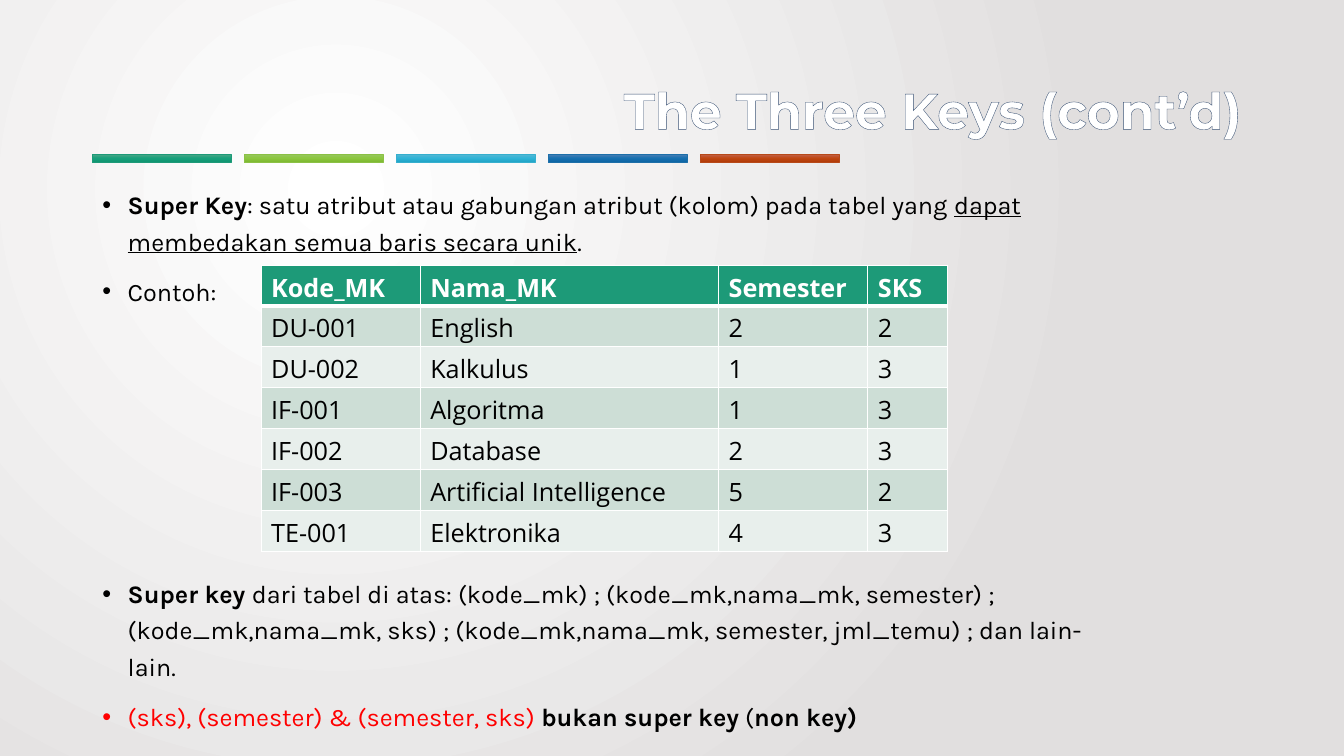
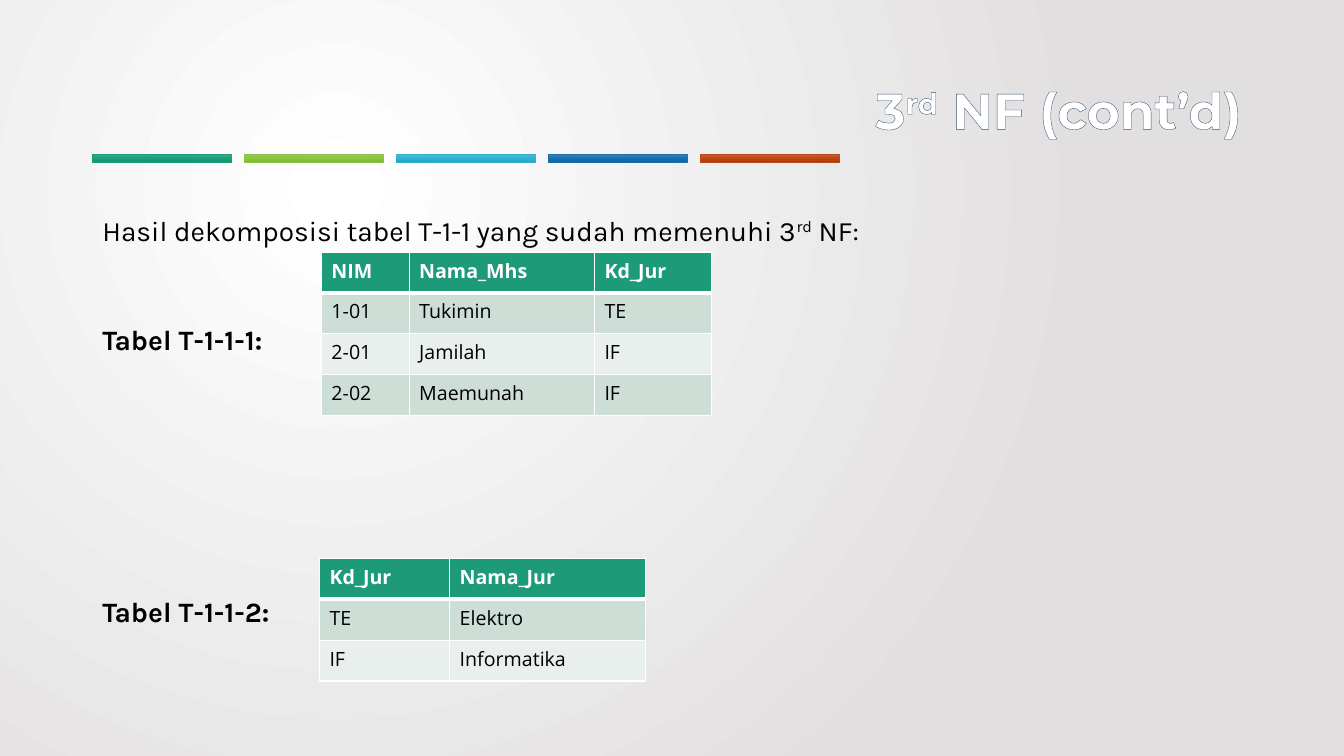
from dataclasses import dataclass, replace

from lxml import etree
from pptx import Presentation
from pptx import util as u
from pptx.dml.color import RGBColor
from pptx.enum import shapes, text
from pptx.oxml import parse_xml
from pptx.oxml.ns import nsdecls, qn

BLACK, WHITE, RED = "000000", "FFFFFF", "FF0000"
GREEN, MINT, PALE = "1D9A78", "CDDED6", "E8EFEC"
TITLE_OUTLINE = "3A5274"
TITLE_FONT, BODY_FONT, TABLE_FONT = "Montserrat", "Karla", "Open Sans"


@dataclass(frozen=True)
class Run:
    words: str
    bold: bool = False
    underline: bool = False
    raised: bool = False
    color: str = BLACK


@dataclass(frozen=True)
class Para:
    runs: tuple[Run, ...]
    before: float = 0
    bullet: bool = False


@dataclass(frozen=True)
class Band:
    stops: tuple[str, str, str]
    line: str


@dataclass(frozen=True)
class Grid:
    left: float
    top: float
    widths: tuple[float, ...]
    size: int
    rows: tuple[tuple[str, ...], ...]


BANDS = (
    Band(("4EA788", "17A07B", "0F9470"), GREEN),
    Band(("98C862", "8CC73F", "7DB831"), "8BC145"),
    Band(("59B8D4", "2EB3D6", "21A4C6"), "36AFCE"),
    Band(("4E80B5", "1670B0", "0D65A3"), "1D6FA9"),
    Band(("C2634D", "BF4611", "B13B08"), "B74919"),
)

COURSES = Grid(6.58, 6.68, (4.01, 7.52, 3.76, 2.01), 18, (
    ("Kode_MK", "Nama_MK", "Semester", "SKS"),
    ("DU-001", "English", "2", "2"),
    ("DU-002", "Kalkulus", "1", "3"),
    ("IF-001", "Algoritma", "1", "3"),
    ("IF-002", "Database", "2", "3"),
    ("IF-003", "Artificial Intelligence", "5", "2"),
    ("TE-001", "Elektronika", "4", "3"),
))
STUDENTS = Grid(8.1, 6.35, (2.21, 4.67, 2.95), 14, (
    ("NIM", "Nama_Mhs", "Kd_Jur"),
    ("1-01", "Tukimin", "TE"),
    ("2-01", "Jamilah", "IF"),
    ("2-02", "Maemunah", "IF"),
))
MAJORS = Grid(8.05, 14.07, (3.28, 4.93), 14, (
    ("Kd_Jur", "Nama_Jur"),
    ("TE", "Elektro"),
    ("IF", "Informatika"),
))

KEY_NOTES = (
    Para((
        Run("Super Key", bold=True),
        Run(": satu atribut atau gabungan atribut (kolom) pada tabel yang "),
        Run("dapat membedakan semua baris secara unik", underline=True),
        Run("."),
    ), bullet=True),
    Para((Run("Contoh:"),), 10, True),
    Para((
        Run("Super key ", bold=True),
        Run("dari tabel di atas: (kode_mk) ; (kode_mk,nama_mk, semester) ; "
            "(kode_mk,nama_mk, sks) ; (kode_mk,nama_mk, semester, jml_temu) ; "
            "dan lain-lain."),
    ), 190, True),
    Para((
        Run("(sks), (semester) & (semester, sks) ", color=RED),
        Run("bukan super key", bold=True),
        Run(" ("),
        Run("non key)", bold=True),
    ), 10, True),
)
NF_NOTES = (
    Para((
        Run("Hasil dekomposisi tabel T-1-1 yang sudah memenuhi 3"),
        Run("rd", raised=True),
        Run(" NF:"),
    )),
    Para((Run("Tabel T-1-1-1:", bold=True),), 49),
    Para((Run("Tabel T-1-1-2:", bold=True),), 165.5),
)


def rgb(color: str) -> RGBColor:
    return RGBColor.from_string(color)


def gradient(stops: tuple[str, ...], shade: str):
    step = 100000 // (len(stops) - 1)
    marks = "".join(f'<a:gs pos="{i * step}"><a:srgbClr val="{c}"/></a:gs>'
                    for i, c in enumerate(stops))
    return parse_xml(f'<a:gradFill {nsdecls("a")} rotWithShape="1">'
                     f'<a:gsLst>{marks}</a:gsLst>{shade}</a:gradFill>')


def line_xml(tag: str, color: str, points: float):
    return parse_xml(f'<a:{tag} {nsdecls("a")} w="{u.Pt(points)}"><a:solidFill>'
                     f'<a:srgbClr val="{color}"/></a:solidFill></a:{tag}>')


def set_background(master) -> None:
    fill = master.background.fill
    fill.background()
    props = master.element.cSld.find(qn("p:bg")).find(qn("p:bgPr"))
    shade = ('<a:path path="circle"><a:fillToRect l="50000" t="50000" '
             'r="100000" b="100000"/></a:path>')
    props.replace(props.find(qn("a:noFill")), gradient((WHITE, "E1DFDF"), shade))


def add_bands(slide, layout) -> None:
    for i, band in enumerate(BANDS):
        sp = slide.shapes.add_shape(
            shapes.MSO_SHAPE.RECTANGLE, u.Cm(2.33 + 3.83 * i), u.Cm(3.89),
            u.Cm(3.5), u.Cm(0.2))
        sp.name = f"Band {i + 1}"
        sp.shadow.inherit = False
        sp.fill.background()
        props = sp.element.spPr
        props.replace(props.find(qn("a:noFill")),
                      gradient(band.stops, '<a:lin ang="5400000" scaled="0"/>'))
        sp.line.color.rgb = rgb(band.line)
        sp.line.width = u.Pt(0.5)
        layout.element.cSld.spTree.append(sp.element)


def add_run(p, run: Run, font: str, size: float):
    r = p.add_run()
    r.text = run.words
    r.font.name = font
    r.font.size = u.Pt(size)
    r.font.bold = run.bold
    r.font.underline = run.underline
    r.font.color.rgb = rgb(run.color)
    if run.raised:
        r.font._element.set("baseline", "30000")
    return r


def set_title(slide, runs: tuple[Run, ...]) -> None:
    sp = slide.shapes.title
    sp.left, sp.top, sp.width, sp.height = u.Cm(2.33), u.Cm(1.01), u.Cm(29.21), u.Cm(3.68)
    tf = sp.text_frame
    tf.word_wrap = True
    tf.auto_size = text.MSO_AUTO_SIZE.NONE
    tf.vertical_anchor = text.MSO_ANCHOR.MIDDLE
    p = tf.paragraphs[0]
    p.alignment = text.PP_ALIGN.RIGHT
    p.line_spacing = 0.9
    for run in runs:
        r = add_run(p, replace(run, bold=True, color=WHITE), TITLE_FONT, 36)
        r.font._element.insert(0, line_xml("ln", TITLE_OUTLINE, 1))


def add_notes(slide, top: float, width: float, height: float, size: float,
              paras: tuple[Para, ...]) -> None:
    sp = slide.shapes.add_textbox(u.Cm(2.33), u.Cm(top), u.Cm(width), u.Cm(height))
    tf = sp.text_frame
    tf.word_wrap = True
    for i, para in enumerate(paras):
        p = tf.add_paragraph() if i else tf.paragraphs[0]
        p.line_spacing = 1.2
        p.space_before = u.Pt(para.before)
        if para.bullet:
            props = p._p.get_or_add_pPr()
            props.set("marL", str(u.Cm(0.64)))
            props.set("indent", str(-u.Cm(0.64)))
            etree.SubElement(props, qn("a:buFont")).set("typeface", "Arial")
            etree.SubElement(props, qn("a:buChar")).set("char", "•")
        for run in para.runs:
            add_run(p, run, BODY_FONT, size)


def add_grid(slide, grid: Grid) -> None:
    height = 1.03
    frame = slide.shapes.add_table(
        len(grid.rows), len(grid.widths), u.Cm(grid.left), u.Cm(grid.top),
        u.Cm(sum(grid.widths)), u.Cm(height * len(grid.rows)))
    table = frame.table
    table.horz_banding = False
    for column, width in zip(table.columns, grid.widths):
        column.width = u.Cm(width)
    for i, values in enumerate(grid.rows):
        table.rows[i].height = u.Cm(height)
        head = i == 0
        fill = GREEN if head else MINT if i % 2 else PALE
        borders = {"lnL": 1, "lnR": 1, "lnT": 3 if i == 1 else 1, "lnB": 3 if head else 1}
        for j, value in enumerate(values):
            cell = table.cell(i, j)
            props = cell._tc.get_or_add_tcPr()
            for tag, points in borders.items():
                props.append(line_xml(tag, WHITE, points))
            cell.fill.solid()
            cell.fill.fore_color.rgb = rgb(fill)
            run = Run(value, bold=head, color=WHITE if head else BLACK)
            add_run(cell.text_frame.paragraphs[0], run, TABLE_FONT, grid.size)


def main() -> None:
    prs = Presentation()
    prs.slide_width, prs.slide_height = u.Cm(33.87), u.Cm(19.05)
    set_background(prs.slide_master)
    layout = prs.slide_layouts[5]

    keys = prs.slides.add_slide(layout)
    add_bands(keys, layout)
    set_title(keys, (Run("The Three Keys (cont’d)"),))
    add_notes(keys, 4.5, 26.04, 14.15, 18, KEY_NOTES)
    add_grid(keys, COURSES)

    third_nf = prs.slides.add_slide(layout)
    set_title(third_nf, (Run("3"), Run("rd", raised=True), Run(" NF (cont’d)")))
    add_notes(third_nf, 5.08, 29.21, 12.09, 20, NF_NOTES)
    add_grid(third_nf, STUDENTS)
    add_grid(third_nf, MAJORS)

    prs.save("out.pptx")


if __name__ == "__main__":
    main()
